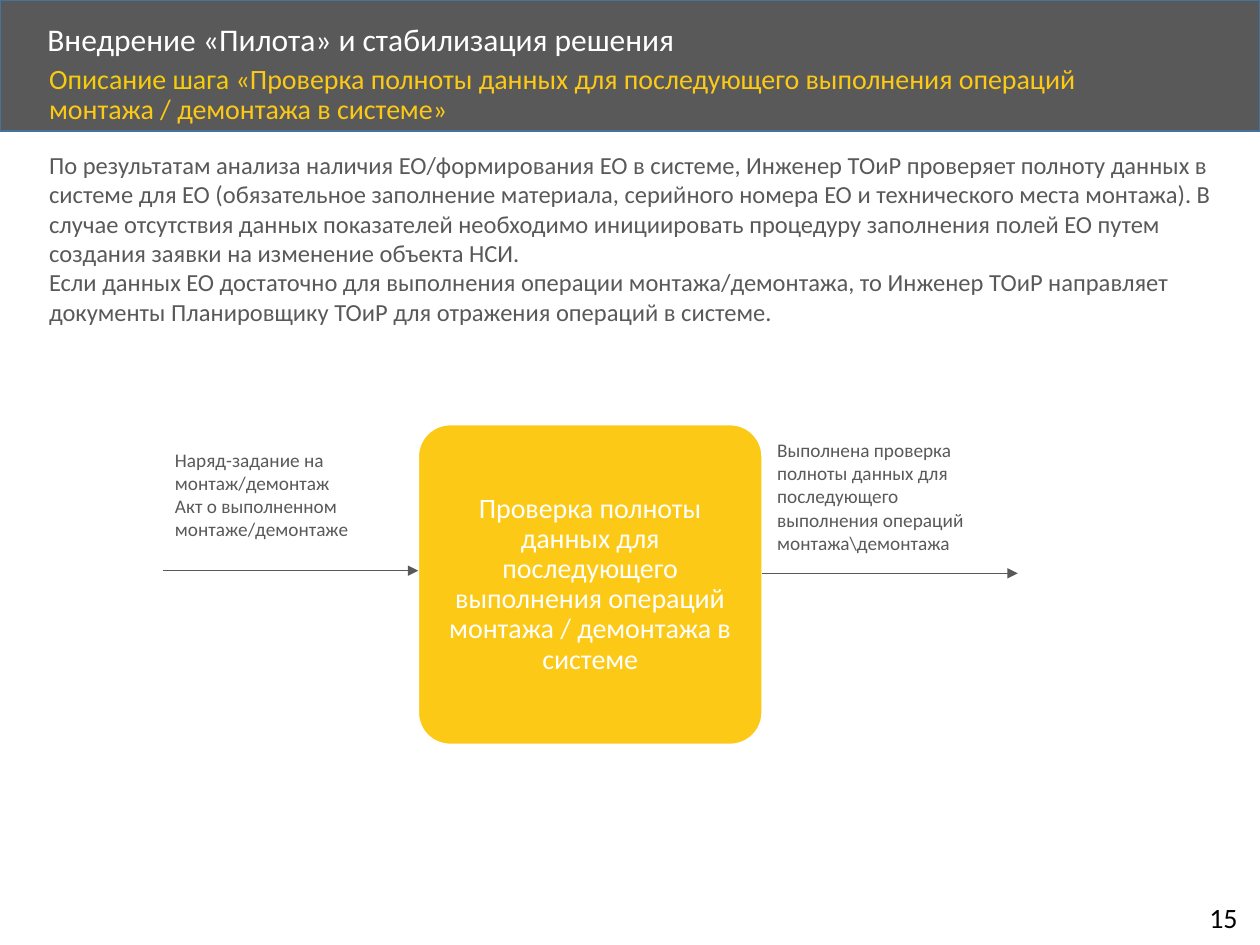
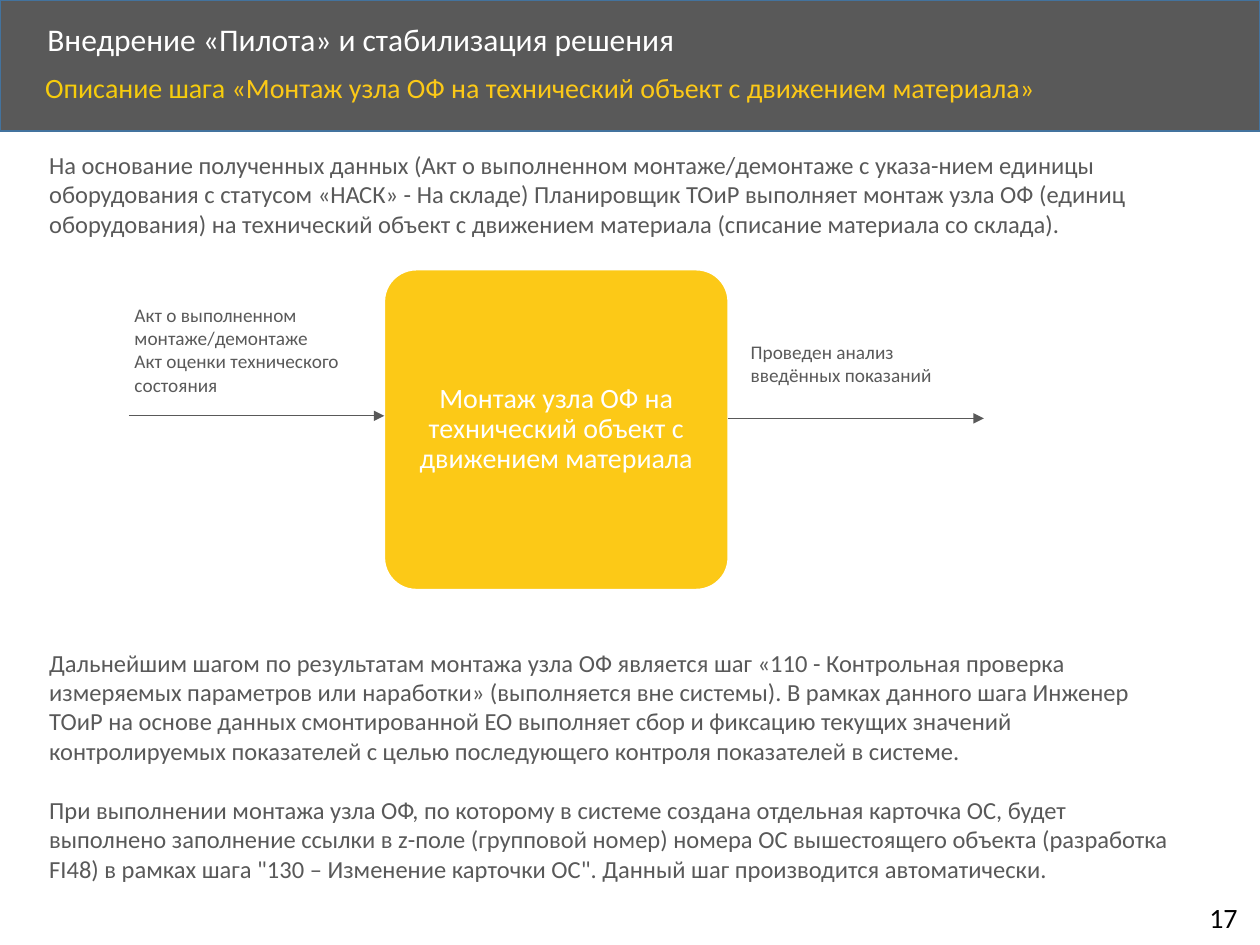
from lxml import etree
from pptx import Presentation
from pptx.dml.color import RGBColor
from pptx.enum.shapes import MSO_CONNECTOR as CONN, MSO_SHAPE as SHAPE
from pptx.enum.text import MSO_ANCHOR as ANCHOR, MSO_AUTO_SIZE as AUTO, PP_ALIGN as ALIGN
from pptx.oxml.ns import qn
from pptx.util import Pt

rgb = RGBColor.from_string
FONT = "Calibri"
GREY, YELLOW, LEAD, WHITE, BLACK, BLUE = "595959", "FCC917", "F6CC0C", "FFFFFF", "000000", "43739E"
BOX_W, BOX_H, ARROW, LABEL_W = 196.6, 182.9, 146, 144

FRAME = {"word_wrap": True, "auto_size": AUTO.SHAPE_TO_FIT_TEXT}
FIXED = {"word_wrap": True, "auto_size": AUTO.NONE}
TITLE = {**FIXED, "vertical_anchor": ANCHOR.MIDDLE}
NUMBER = {**FRAME, "word_wrap": False}
STEP = {**TITLE, "margin_left": Pt(5), "margin_right": Pt(5),
        "margin_top": Pt(1), "margin_bottom": Pt(1)}
TIGHT = {"line_spacing": 0.9}
CENTRED = {**TIGHT, "alignment": ALIGN.CENTER}

SLIDES = [
    {
        "number": "15",
        "subtitle": "«Проверка полноты данных для последующего выполнения операций монтажа / демонтажа в системе»",
        "subtitle_at": (21, 33.8),
        "step": "Проверка полноты данных для последующего выполнения операций монтажа / демонтажа в системе",
        "step_at": (239, 242.6),
        "labels": [
            (92.9, 252.7, 60.5, ["Наряд-задание на монтаж/демонтаж",
                                 "Акт о выполненном монтаже/демонтаже"]),
            (437, 247, 74, ["Выполнена проверка полноты данных для последующего выполнения операций "
                            "монтажа\\демонтажа"]),
        ],
        "texts": [
            (82, 681, 108.7, 0, [
                "По результатам анализа наличия ЕО/формирования ЕО в системе, Инженер ТОиР проверяет "
                "полноту данных в системе для ЕО (обязательное заполнение материала, серийного номера ЕО "
                "и технического места монтажа). В случае отсутствия данных показателей необходимо "
                "инициировать процедуру заполнения полей ЕО путем создания заявки на изменение объекта НСИ.",
                "Если данных ЕО достаточно для выполнения операции монтажа/демонтажа, то Инженер ТОиР "
                "направляет документы Планировщику ТОиР для отражения операций в системе."]),
        ],
    },
    {
        "number": "17",
        "subtitle": "«Монтаж узла ОФ на технический объект с движением материала»",
        "subtitle_at": (18.7, 38.9),
        "step": "Монтаж узла ОФ на технический объект с движением материала",
        "step_at": (219.6, 154.1),
        "labels": [
            (69.8, 169.9, 60.5, ["Акт о выполненном монтаже/демонтаже",
                                 "Акт оценки технического состояния"]),
            (421.9, 190.8, 33.8, ["Проведен анализ введённых показаний"]),
        ],
        "texts": [
            (82, 681, 58.3, 0, [
                "На основание полученных данных (Акт о выполненном монтаже/демонтаже с указа-нием единицы "
                "оборудования с статусом «НАСК» - На складе) Планировщик ТОиР выполняет монтаж узла ОФ "
                "(единиц оборудования) на технический объект с движением материала (списание материала "
                "со склада)."]),
            (366.5, 661.7, 143.3, 17, [
                "Дальнейшим шагом по результатам монтажа узла ОФ является шаг «110 - Контрольная проверка "
                "измеряемых параметров или наработки» (выполняется вне системы). В рамках данного шага "
                "Инженер ТОиР на основе данных смонтированной ЕО выполняет сбор и фиксацию текущих значений "
                "контролируемых показателей с целью последующего контроля показателей в системе.",
                "При выполнении монтажа узла ОФ, по которому в системе создана отдельная карточка ОС, будет "
                "выполнено заполнение ссылки в z-поле (групповой номер) номера ОС вышестоящего объекта "
                "(разработка FI48) в рамках шага \"130 – Изменение карточки ОС\". Данный шаг производится "
                "автоматически."]),
        ],
    },
]


def add_shape(s, kind, x, y, w, h, fill, line):
    sp = s.shapes.add_shape(kind, Pt(x), Pt(y), Pt(w), Pt(h))
    sp.shadow.inherit = False
    sp.fill.solid()
    sp.fill.fore_color.rgb = rgb(fill)
    sp.line.color.rgb = rgb(line)
    sp.line.width = Pt(1)
    return sp


def write(s, target, paragraphs, size, frame, layout={}, gap=0):
    sp = s.shapes.add_textbox(*map(Pt, target)) if isinstance(target, tuple) else target
    tf = sp.text_frame
    for name, value in frame.items():
        setattr(tf, name, value)
    for i, runs in enumerate(paragraphs):
        p = tf.paragraphs[0] if i == 0 else tf.add_paragraph()
        for name, value in layout.items():
            setattr(p, name, value)
        if i and gap:
            p.space_before = Pt(gap)
        for text, color in runs:
            r = p.add_run()
            r.text = text
            for name, value in {"name": FONT, "size": Pt(size)}.items():
                setattr(r.font, name, value)
            r.font.color.rgb = rgb(color)


prs = Presentation()
prs.slide_width, prs.slide_height = Pt(720), Pt(540)

for d in SLIDES:
    s = prs.slides.add_slide(prs.slide_layouts[6])

    add_shape(s, SHAPE.RECTANGLE, 0, 0, 720, 75, GREY, BLUE)
    write(s, (20, 10, 581, 27.4), [[("Внедрение «Пилота» и стабилизация решения", WHITE)]],
          18, TITLE, TIGHT)
    write(s, (684, 511.2, 33, 26.6), [[(d["number"], BLACK)]], 16, NUMBER)
    write(s, (*d["subtitle_at"], 624, 32.4),
          [[("Описание шага ", LEAD), (d["subtitle"], YELLOW)]], 16, FIXED, TIGHT)

    x, y = d["step_at"]
    step = add_shape(s, SHAPE.ROUNDED_RECTANGLE, x, y, BOX_W, BOX_H, YELLOW, WHITE)
    step.adjustments[0] = 0.1
    write(s, step, [[(d["step"], WHITE)]], 16, STEP, CENTRED)

    for start, level in [(x - ARROW, y + 83.5), (x + BOX_W, y + 85)]:
        arrow = s.shapes.add_connector(CONN.STRAIGHT, Pt(start), Pt(level), Pt(start + ARROW), Pt(level))
        arrow.line.color.rgb = rgb(GREY)
        arrow.line.width = Pt(0.5)
        etree.SubElement(arrow.line._get_or_add_ln(), qn("a:tailEnd"), type="triangle")
        etree.SubElement(arrow._element.spPr, qn("a:effectLst"))

    for left, top, height, lines in d["labels"]:
        write(s, (left, top, LABEL_W, height), [[(t, GREY)] for t in lines], 11, FRAME)

    for top, width, height, gap, lines in d["texts"]:
        write(s, (21, top, width, height), [[(t, GREY)] for t in lines], 14, FRAME, gap=gap)

prs.save("out.pptx")
